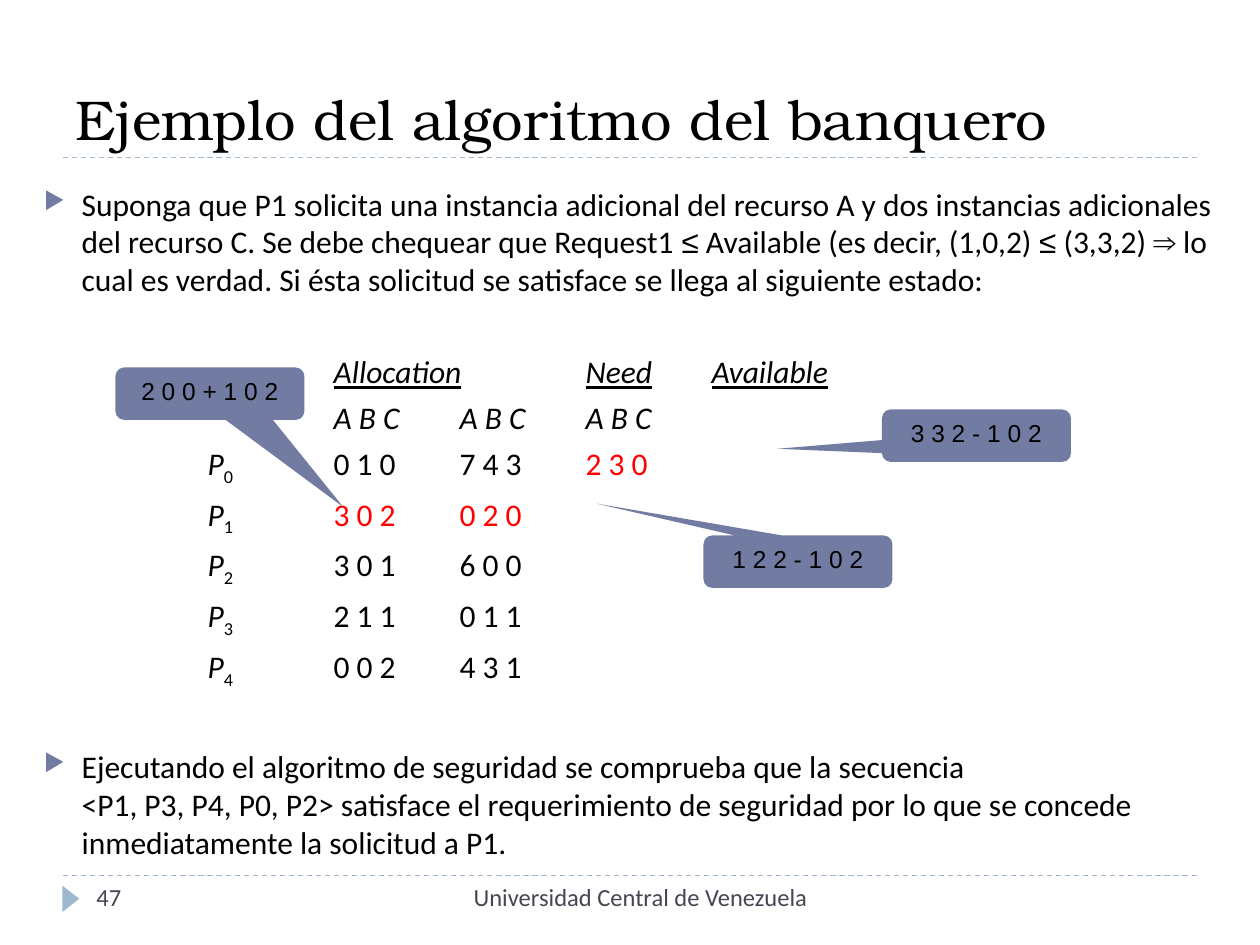
from dataclasses import dataclass
from typing import NamedTuple

from lxml.etree import SubElement
from pptx import Presentation
from pptx.dml.color import RGBColor as Rgb
from pptx.enum.dml import MSO_LINE_DASH_STYLE as Dash
from pptx.enum.shapes import MSO_CONNECTOR as Connector, MSO_SHAPE as Shape
from pptx.enum.text import MSO_ANCHOR as Anchor, PP_ALIGN as Align
from pptx.oxml.ns import qn
from pptx.util import Inches, Pt


@dataclass(frozen=True)
class Theme:
    ink: Rgb = Rgb(0, 0, 0)
    changed: Rgb = Rgb(0xFF, 0, 0)
    accent: Rgb = Rgb(0x72, 0x7C, 0xA3)
    rule: Rgb = Rgb(0x9F, 0xB8, 0xCD)
    footer: Rgb = Rgb(0x46, 0x46, 0x53)
    title_font: str = "TeX Gyre Bonum"
    body_font: str = "Calibri"
    symbol_font: str = "Arial"
    title_size: int = 32
    body_size: int = 18
    small_size: int = 14


class Area(NamedTuple):
    """Left, top, width and height in grid cells, twelve to the inch."""
    column: float
    row: float
    columns: float
    rows: float


class Span(NamedTuple):
    text: str
    italic: bool = False
    underline: bool = False
    subscript: bool = False
    changed: bool = False


class Callout(NamedTuple):
    text: str
    column: float
    row: float
    tip: tuple[float, float]


class Process(NamedTuple):
    number: int
    cells: list[Span]


THEME = Theme()
CELL = Inches(1) // 12
TAB_STEP = Inches(1)
HANG = Inches(0.3)
SYMBOLS = "≤⇒"

REQUEST = (
    "Suponga que P1 solicita una instancia adicional del recurso A y dos instancias "
    "adicionales del recurso C. Se debe chequear que Request1 ≤ Available (es decir, "
    "(1,0,2) ≤ (3,3,2) ⇒ lo cual es verdad. Si ésta solicitud se satisface se llega "
    "al siguiente estado:"
)
CONCLUSION = (
    "Ejecutando el algoritmo de seguridad se comprueba que la secuencia ",
    "<P1, P3, P4, P0, P2> satisface el requerimiento de seguridad por lo que se "
    "concede inmediatamente la solicitud a P1.",
)
HEADINGS = ["Allocation", "Need", "Available"]
PROCESSES = [
    Process(0, [Span("0 1 0 "), Span("7 4 3 "), Span("2 3 0", changed=True)]),
    Process(1, [Span("3 0 2", changed=True), Span("0 2 0 ", changed=True)]),
    Process(2, [Span("3 0 1 "), Span("6 0 0")]),
    Process(3, [Span("2 1 1 "), Span("0 1 1")]),
    Process(4, [Span("0 0 2 "), Span("4 3 1")]),
]
CALLOUTS = [
    Callout("2 0 0 + 1 0 2", 11, 35, (0.705, 2.158)),
    Callout("1 2 2 - 1 0 2", 67, 51, (-1.067, -1.108)),
    Callout("3 3 2 - 1 0 2", 84, 39, (-1.054, 0.25)),
]


def place(area: Area) -> list[int]:
    return [round(cells * CELL) for cells in area]


def style(paragraph, font: str, size: float, color: Rgb) -> None:
    paragraph.font.name = font
    paragraph.font.size = Pt(size)
    paragraph.font.color.rgb = color


def add_box(page, area: Area):
    frame = page.shapes.add_textbox(*place(area)).text_frame
    frame.word_wrap = True
    return frame


def add_label(page, area: Area, text: str, font: str, size: float, color: Rgb,
              align=Align.LEFT, anchor=Anchor.TOP) -> None:
    frame = add_box(page, area)
    frame.vertical_anchor = anchor
    para = frame.paragraphs[0]
    para.text = text
    para.alignment = align
    style(para, font, size, color)


def add_rule(page, row: float) -> None:
    line = page.shapes.add_connector(
        Connector.STRAIGHT, 6 * CELL, round(row * CELL), 114 * CELL, round(row * CELL))
    line.line.color.rgb = THEME.rule
    line.line.width = Pt(0.75)
    line.line.dash_style = Dash.DASH
    SubElement(line._element.spPr, qn("a:effectLst"))


def add_solid(page, kind, area: Area, color: Rgb):
    shape = page.shapes.add_shape(kind, *place(area))
    shape.shadow.inherit = False
    shape.fill.solid()
    shape.fill.fore_color.rgb = color
    shape.line.fill.background()
    return shape


def add_callout(page, callout: Callout) -> None:
    area = Area(callout.column, callout.row, 18, 5)
    shape = add_solid(page, Shape.ROUNDED_RECTANGULAR_CALLOUT, area, THEME.accent)
    for index, value in enumerate((*callout.tip, 0.167)):
        shape.adjustments[index] = value
    shape.text_frame.vertical_anchor = Anchor.TOP
    para = shape.text_frame.paragraphs[0]
    para.text = callout.text
    para.alignment = Align.CENTER
    style(para, THEME.symbol_font, THEME.small_size, THEME.ink)


def format_body(para, before: float = 0, bullet: bool = False) -> None:
    """Hanging indent, with either a triangle bullet or evenly spaced tabs."""
    props = para._p.get_or_add_pPr()
    props.set("marL", str(HANG))
    props.set("indent", str(-HANG))
    props.set("defTabSz", str(TAB_STEP))
    if bullet:
        color = SubElement(props, qn("a:buClr"))
        SubElement(color, qn("a:srgbClr"), val=str(THEME.accent))
        SubElement(props, qn("a:buSzPct"), val="76000")
        SubElement(props, qn("a:buChar"), char="▶")
    else:
        SubElement(props, qn("a:buNone"))
        tabs = SubElement(props, qn("a:tabLst"))
        for step in range(8):
            SubElement(tabs, qn("a:tab"), pos=str(step * TAB_STEP), algn="l")
    para.space_before = Pt(before)
    style(para, THEME.body_font, THEME.body_size, THEME.ink)


def add_prose(para, text: str) -> None:
    """Write text with its mathematical symbols in their own font."""
    for symbol in SYMBOLS:
        text = text.replace(symbol, f"|{symbol}|")
    for piece in text.split("|"):
        run = para.add_run()
        run.text = piece
        if piece in SYMBOLS:
            run.font.name = THEME.symbol_font


def add_row(frame, spans: list[Span], before: float = 4.5) -> None:
    para = frame.add_paragraph()
    format_body(para, before)
    for span in spans:
        run = para.add_run()
        run.text = span.text
        if span.italic:
            run.font.italic = True
        if span.underline:
            run.font.underline = True
        if span.changed:
            run.font.color.rgb = THEME.changed
        if span.subscript:
            run.font._element.set("baseline", "-25000")


def tabbed(cells: list[Span]) -> list[Span]:
    return [span for cell in cells for span in (Span("\t"), cell)]


def add_body(page) -> None:
    frame = add_box(page, Area(3, 17, 115, 66))
    request = frame.paragraphs[0]
    format_body(request, bullet=True)
    add_prose(request, REQUEST)

    # State of the processes
    lead = Span("\t\t")
    add_row(frame, [lead, *tabbed([Span(text, True, True) for text in HEADINGS])], 31)
    add_row(frame, [lead, *tabbed([Span("A B C", italic=True)] * 3)])
    for process in PROCESSES:
        name = [Span("P", italic=True), Span(str(process.number), subscript=True)]
        add_row(frame, [lead, *name, *tabbed(process.cells)])

    conclusion = frame.add_paragraph()
    format_body(conclusion, before=32.5, bullet=True)
    add_prose(conclusion, CONCLUSION[0])
    conclusion.add_line_break()
    add_prose(conclusion, CONCLUSION[1])


def main() -> None:
    deck = Presentation()
    deck.slide_width, deck.slide_height = 120 * CELL, 90 * CELL
    page = deck.slides.add_slide(deck.slide_layouts[6])

    # Rules and page marker
    for row in (83.4, 15):
        add_rule(page, row)
    add_solid(page, Shape.ISOSCELES_TRIANGLE, Area(5.5, 84.8, 2.5, 1.6), THEME.rule).rotation = 90

    # Title, body and callouts
    add_label(page, Area(6, 3, 108, 12), "Ejemplo del algoritmo del banquero",
              THEME.title_font, THEME.title_size, THEME.ink, anchor=Anchor.BOTTOM)
    add_body(page)
    for callout in CALLOUTS:
        add_callout(page, callout)

    # Footer
    footer = (THEME.body_font, THEME.small_size, THEME.footer)
    add_label(page, Area(8, 83.4, 26, 4.8), "47", *footer)
    add_label(page, Area(38, 83.4, 46, 4.8), "Universidad Central de Venezuela", *footer, Align.CENTER)

    deck.save("out.pptx")


if __name__ == "__main__":
    main()
